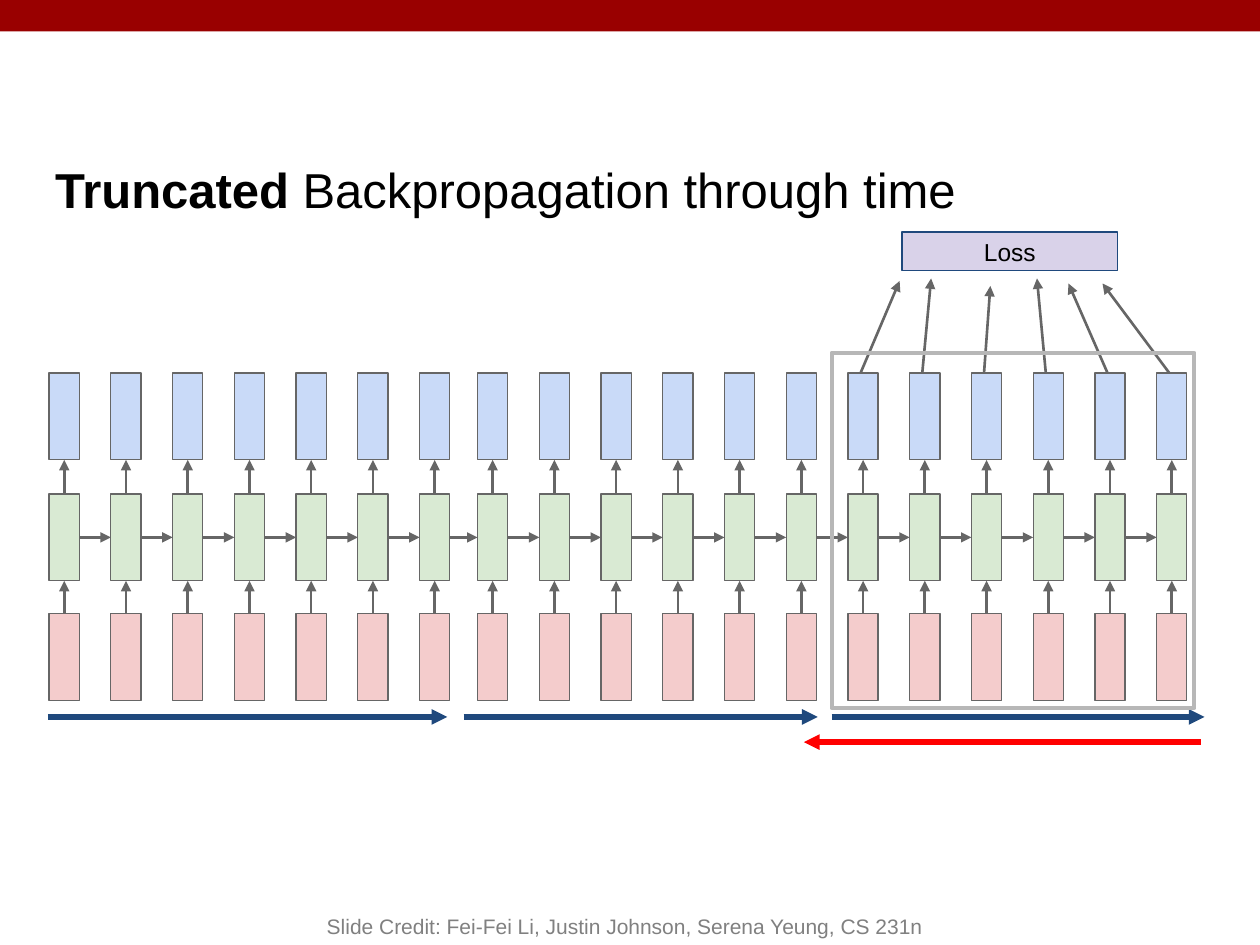
from lxml.etree import SubElement
from pptx import Presentation
from pptx.dml.color import RGBColor
from pptx.enum.shapes import MSO_CONNECTOR, MSO_SHAPE
from pptx.enum.text import MSO_ANCHOR, PP_ALIGN
from pptx.oxml.ns import qn
from pptx.util import Pt

PX = 9144
GRAY, NAVY, RED = "666666", "1F497D", "FF0000"

TITLE = [("Truncated ", True), ("Backpropagation through time", False)]
CREDIT = [("Slide Credit: Fei-Fei Li, Justin Johnson, Serena Yeung, CS 231n", False)]
ROWS = [(487, "F4CCCC"), (392, "D9EAD3"), (296, "C9DAF8")]
GROUPS = [(39, 7), (379, 12)]
PITCH, CELL_W, CELL_H = 49, 24, 69
LOSS_TIPS = [(714, 223), (739, 221), (786, 227), (823, 221), (848, 225), (875, 225)]
PASSES = [
    (38, 355, 569, NAVY),
    (368, 649, 569, NAVY),
    (953, 638, 589, RED),
    (660, 956, 569, NAVY),
]

deck = Presentation()
deck.slide_width, deck.slide_height = 1000 * PX, 750 * PX
slide = deck.slides.add_slide(deck.slide_layouts[6])


def color(code):
    return RGBColor.from_string(code)


def scale(*nums):
    return [round(n * PX) for n in nums]


def add_box(x, y, w, h, fill=None, line=None, width=0.75):
    box = slide.shapes.add_shape(MSO_SHAPE.RECTANGLE, *scale(x, y, w, h))
    box.shadow.inherit = False
    if fill:
        box.fill.solid()
        box.fill.fore_color.rgb = color(fill)
    else:
        box.fill.background()
    if line:
        box.line.color.rgb = color(line)
        box.line.width = Pt(width)
    else:
        box.line.fill.background()
    return box


def add_arrow(x1, y1, x2, y2, line=GRAY, width=1.5):
    arrow = slide.shapes.add_connector(MSO_CONNECTOR.STRAIGHT, *scale(x1, y1, x2, y2))
    arrow.line.color.rgb = color(line)
    arrow.line.width = Pt(width)
    SubElement(arrow.line._get_or_add_ln(), qn("a:tailEnd"), type="triangle")
    SubElement(arrow._element.spPr, qn("a:effectLst"))
    return arrow


def join(start, side, end, stop):
    arrow = add_arrow(0, 0, 1, 1)
    arrow.begin_connect(start, side)
    arrow.end_connect(end, stop)


def put_text(box, runs, size, ink, align, anchor, pad):
    frame = box.text_frame
    frame.word_wrap = True
    frame.vertical_anchor = anchor
    frame.margin_left = frame.margin_right = 10 * PX
    frame.margin_top = frame.margin_bottom = pad * PX
    para = frame.paragraphs[0]
    para.alignment = align
    for words, bold in runs:
        run = para.add_run()
        run.text = words
        run.font.name = "Arial"
        run.font.size = Pt(size)
        run.font.bold = bold
        run.font.color.rgb = color(ink)


def add_text(x, y, w, h, *style):
    put_text(slide.shapes.add_textbox(*scale(x, y, w, h)), *style)


add_box(0, 0, 1000, 25, "990000")
add_text(34, 103, 923, 94, TITLE, 28, "000000", PP_ALIGN.LEFT, MSO_ANCHOR.MIDDLE, 10)

loss = add_box(716, 184, 171, 31, "D9D2E9", NAVY)
put_text(loss, [("Loss", False)], 14, "000000", PP_ALIGN.CENTER, MSO_ANCHOR.MIDDLE, 10)

lefts = [x + i * PITCH for x, count in GROUPS for i in range(count)]
for left, (x, y) in zip(lefts[-len(LOSS_TIPS):], LOSS_TIPS):
    add_arrow(left + 10, ROWS[-1][0], x, y)

prior = None
for left in lefts:
    below, state, above = [
        add_box(left, top, CELL_W, CELL_H, fill, GRAY) for top, fill in ROWS
    ]
    join(below, 0, state, 2)
    join(state, 0, above, 2)
    if prior:
        join(prior, 3, state, 1)
    prior = state

for x1, x2, y, ink in PASSES:
    add_arrow(x1, y, x2, y, ink, 3)

add_box(660, 280, 288, 282, None, "B7B7B7", 2.25)
add_text(200, 700, 592, 50, CREDIT, 12, "808080", PP_ALIGN.CENTER, MSO_ANCHOR.BOTTOM, 5)

deck.save("out.pptx")
